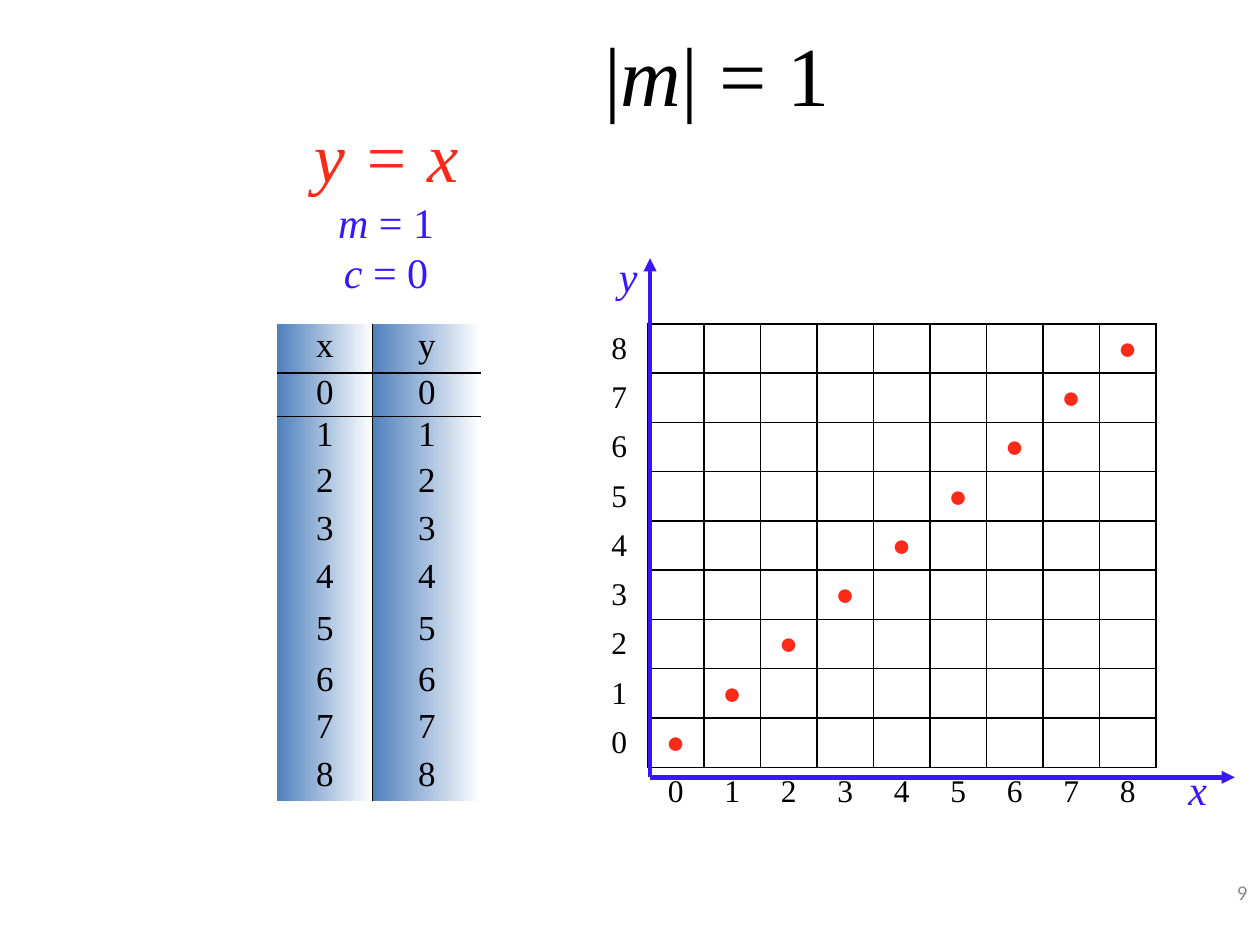
from lxml import etree
from pptx import Presentation
from pptx.dml.color import RGBColor
from pptx.enum import shapes, text
from pptx.oxml import ns
from pptx.util import Pt

BLACK = RGBColor(0x00, 0x00, 0x00)
RED = RGBColor(0xFD, 0x29, 0x19)
VIOLET = RGBColor(0x38, 0x17, 0xFF)
GREY = RGBColor(0x8C, 0x8C, 0x8C)
BLUE = RGBColor(0x4F, 0x81, 0xBD)
WHITE = RGBColor(0xFF, 0xFF, 0xFF)
SERIF = "Times New Roman"
PLAIN_TABLE = "{2D5ABB26-0587-4C30-8999-92F81FD0307C}"

TITLE = [[("|", False), ("m", True), ("| = 1", False)]]
EQUATION = [
    [("y = x", True)],
    [("m ", True), ("= 1", False)],
    [("c ", True), ("= 0", False)],
]
VALUES = list(range(9))
POINTS = [("x", "y")] + [(str(x), str(x)) for x in VALUES]
POINT_COLUMNS = [54.5, 62]
POINT_ROWS = [28, 25, 24, 28, 27, 28, 31, 28, 26, 28]
AXIS_LABELS = [("y", (346.3, 139.7, 25.2, 36)), ("x", (671.8, 432.7, 25.2, 36))]
ORIGIN = (371.5, 444.2)
AXIS_ENDS = [(371.5, 147.6), (705.6, 444.2)]
CELL_WIDTH, CELL_HEIGHT = 32.3, 28.15


def format_run(run, size, color, italic=False, font=SERIF):
    run.font.name = font
    run.font.size = Pt(size)
    run.font.color.rgb = color
    run.font.italic = italic


def write(frame, lines, sizes, colors, align=text.PP_ALIGN.CENTER,
          anchor=text.MSO_ANCHOR.BOTTOM, font=SERIF):
    frame.vertical_anchor = anchor
    frame.word_wrap = False
    for i, (line, size, color) in enumerate(zip(lines, sizes, colors)):
        paragraph = frame.paragraphs[0] if i == 0 else frame.add_paragraph()
        paragraph.alignment = align
        for words, italic in line:
            run = paragraph.add_run()
            run.text = words
            format_run(run, size, color, italic, font)


def add_label(slide, box, *args, **kwargs):
    label = slide.shapes.add_textbox(*map(Pt, box))
    write(label.text_frame, *args, **kwargs)


def add_plain_table(slide, left, top, widths, heights):
    box = [Pt(n) for n in (left, top, sum(widths), sum(heights))]
    table = slide.shapes.add_table(len(heights), len(widths), *box).table
    table._tbl.tblPr.find(ns.qn("a:tableStyleId")).text = PLAIN_TABLE
    table.first_row = table.horz_banding = False
    for column, width in zip(table.columns, widths):
        column.width = Pt(width)
    for row, height in zip(table.rows, heights):
        row.height = Pt(height)
    return table


def format_cell(cell, words, size, color, sides):
    cell.margin_left = cell.margin_right = cell.margin_top = cell.margin_bottom = 0
    cell.vertical_anchor = text.MSO_ANCHOR.MIDDLE
    cell.text = words
    paragraph = cell.text_frame.paragraphs[0]
    paragraph.alignment = text.PP_ALIGN.CENTER
    for run in paragraph.runs:
        format_run(run, size, color)
    properties = cell._tc.get_or_add_tcPr()
    for side in "LRTB":
        if side in sides:
            line = etree.SubElement(properties, ns.qn("a:ln" + side), w="12700")
            fill = etree.SubElement(line, ns.qn("a:solidFill"))
            etree.SubElement(fill, ns.qn("a:srgbClr"), val=str(BLACK))


def add_points(slide):
    table = add_plain_table(slide, 158.4, 185.1, POINT_COLUMNS, POINT_ROWS)
    for r, row in enumerate(POINTS):
        for c, words in enumerate(row):
            cell = table.cell(r, c)
            sides = ("R" if c == 0 else "L") + {0: "B", 1: "T"}.get(r, "")
            format_cell(cell, words, 20, BLACK, sides)
            cell.text_frame.paragraphs[0].line_spacing = 0.8
            cell.fill.gradient()
            cell.fill.gradient_angle = 0
            for stop, color in zip(cell.fill.gradient_stops, (BLUE, WHITE)):
                stop.color.rgb = color


def add_graph(slide):
    count = len(VALUES)
    table = add_plain_table(slide, 337.7, 185.1, [CELL_WIDTH] * (count + 1),
                            [CELL_HEIGHT] * (count + 1))
    for r in range(count + 1):
        for c in range(count + 1):
            x, y = c - 1, count - 1 - r
            words, color, sides = "", BLACK, "LRTB"
            if x < 0 and y < 0:
                sides = ""
            elif x < 0:
                words, sides = str(y), "R"
            elif y < 0:
                words, sides = str(x), "T"
            elif x == y:
                words, color = "●", RED
            cell = table.cell(r, c)
            format_cell(cell, words, 18, color, sides)
            cell.fill.background()


def add_axis(slide, end):
    axis = slide.shapes.add_connector(shapes.MSO_CONNECTOR.STRAIGHT,
                                      *map(Pt, ORIGIN + end))
    axis.line.color.rgb = VIOLET
    axis.line.width = Pt(2.5)
    etree.SubElement(axis.line._get_or_add_ln(), ns.qn("a:tailEnd"), type="triangle")
    etree.SubElement(axis._element.spPr, ns.qn("a:effectLst"))


def main():
    deck = Presentation()
    deck.slide_width, deck.slide_height = Pt(720), Pt(540)
    slide = deck.slides.add_slide(deck.slide_layouts[5])

    title = slide.shapes.title
    title.left, title.top, title.width, title.height = map(Pt, (321.8, 9.4, 175.7, 64.8))
    write(title.text_frame, TITLE, [48], [BLACK])

    add_points(slide)
    add_label(slide, (570.2, 491.8, 149.8, 36), [[("9", False)]], [12], [GREY],
              align=text.PP_ALIGN.RIGHT, anchor=text.MSO_ANCHOR.MIDDLE, font="Calibri")
    add_graph(slide)
    add_label(slide, (172, 60.5, 97.2, 113), EQUATION, [40, 24, 24],
              [RED, VIOLET, VIOLET])
    for end, (name, box) in zip(AXIS_ENDS, AXIS_LABELS):
        add_axis(slide, end)
        add_label(slide, box, [[(name, True)]], [24], [VIOLET])

    deck.save("out.pptx")


if __name__ == "__main__":
    main()
